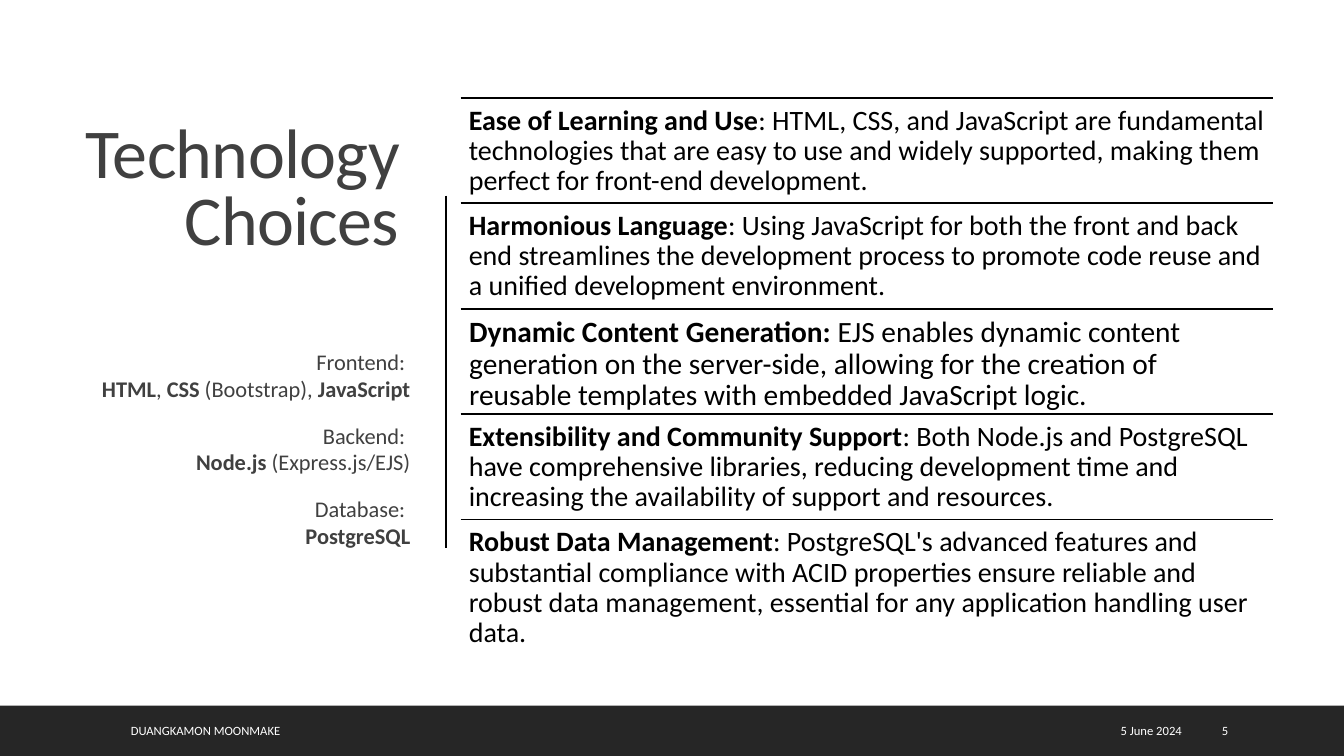
from dataclasses import dataclass

from lxml.etree import SubElement
from pptx import Presentation
from pptx.dml.color import RGBColor
from pptx.enum.shapes import MSO_CONNECTOR as Connector, MSO_SHAPE as Shape
from pptx.enum.text import MSO_ANCHOR as Anchor, MSO_AUTO_SIZE as AutoSize, PP_ALIGN as Align
from pptx.oxml.ns import qn
from pptx.util import Inches, Pt


@dataclass(frozen=True)
class Theme:
    font: str = "Calibri"
    black: RGBColor = RGBColor.from_string("000000")
    gray: RGBColor = RGBColor.from_string("404040")
    bar: RGBColor = RGBColor.from_string("262626")
    white: RGBColor = RGBColor.from_string("FFFFFF")
    title_size: float = 50
    stack_size: float = 16
    reason_size: float = 20
    large_reason_size: float = 21
    footer_size: float = 9


THEME = Theme()

STACK = [
    ("Frontend: ", "**HTML**, **CSS** (Bootstrap), **JavaScript**"),
    ("Backend: ", "**Node.js **(Express.js/EJS)"),
    ("Database: ", "**PostgreSQL**"),
]

REASONS = [
    ("**Ease of Learning and Use**: HTML, CSS, and JavaScript are fundamental technologies that are "
     "easy to use and widely supported, making them perfect for front-end development.",
     THEME.reason_size),
    ("**Harmonious Language**: Using JavaScript for both the front and back end streamlines the "
     "development process to promote code reuse and a unified development environment.",
     THEME.reason_size),
    ("**Dynamic Content Generation:** EJS enables dynamic content generation on the server-side, "
     "allowing for the creation of reusable templates with embedded JavaScript logic.",
     THEME.large_reason_size),
    ("**Extensibility and Community Support**: Both Node.js and PostgreSQL have comprehensive "
     "libraries, reducing development time and increasing the availability of support and resources.",
     THEME.reason_size),
    ("**Robust Data Management**: PostgreSQL's advanced features and substantial compliance with "
     "ACID properties ensure reliable and robust data management, essential for any application "
     "handling user data.", THEME.reason_size),
]


def place(shape, left, top, width, height):
    shape.left, shape.top = Inches(left), Inches(top)
    shape.width, shape.height = Inches(width), Inches(height)


def prepare_frame(shape, anchor, horizontal=0.1, vertical=0.05):
    """Set wrapping, anchor and insets, and return the text frame."""
    frame = shape.text_frame
    frame.word_wrap = True
    frame.auto_size = AutoSize.NONE
    frame.vertical_anchor = anchor
    frame.margin_left = frame.margin_right = Inches(horizontal)
    frame.margin_top = frame.margin_bottom = Inches(vertical)
    return frame


def format_run(run, size, color, bold=False):
    run.font.name = THEME.font
    run.font.size = Pt(size)
    run.font.color.rgb = color
    run.font.bold = bold


def add_marked_text(paragraph, text, size, color):
    """Add runs to the paragraph; text between double asterisks is bold."""
    for index, part in enumerate(text.split("**")):
        if part:
            run = paragraph.add_run()
            run.text = part
            format_run(run, size, color, bold=index % 2 == 1)


def add_line(slide, start, end, width):
    line = slide.shapes.add_connector(Connector.STRAIGHT, *map(Inches, start + end))
    line.line.color.rgb = THEME.black
    line.line.width = Pt(width)
    SubElement(line._element.spPr, qn("a:effectLst"))


def fill_title(title, left, top, width, height):
    place(title, left, top, width, height)
    frame = prepare_frame(title, Anchor.MIDDLE)
    frame.text = "Technology Choices"
    paragraph = frame.paragraphs[0]
    paragraph.alignment = Align.RIGHT
    paragraph.line_spacing = 0.8
    run = paragraph.runs[0]
    format_run(run, THEME.title_size, THEME.gray)
    run._r.get_or_add_rPr().set("spc", "-50")


def fill_stack(body, left, top, width, height):
    place(body, left, top, width, height)
    frame = prepare_frame(body, Anchor.MIDDLE, horizontal=0)
    for index, (layer, tools) in enumerate(STACK):
        paragraph = frame.add_paragraph() if index else frame.paragraphs[0]
        properties = paragraph._p.get_or_add_pPr()
        properties.set("marL", "0")
        properties.set("indent", "0")
        SubElement(properties, qn("a:buNone"))
        paragraph.alignment = Align.RIGHT
        paragraph.space_before = Pt(12 if index else 0)
        paragraph.space_after = Pt(2)
        add_marked_text(paragraph, layer, THEME.stack_size, THEME.gray)
        paragraph.add_line_break()
        add_marked_text(paragraph, tools, THEME.stack_size, THEME.gray)


def add_reasons(slide, left, top, width, height):
    """Stack the reasons in equal rows, each under a rule."""
    row_height = height / len(REASONS)
    for index, (text, size) in enumerate(REASONS):
        row_top = top + index * row_height
        add_line(slide, (left, row_top), (left + width, row_top), 1.25)
        box = slide.shapes.add_textbox(*map(Inches, (left, row_top, width, row_height)))
        inset = size / 250
        paragraph = prepare_frame(box, Anchor.TOP, inset, inset).paragraphs[0]
        paragraph.line_spacing = 0.9
        add_marked_text(paragraph, text, size, THEME.black)


def add_footer(slide, left, top, width, height):
    bar = slide.shapes.add_shape(Shape.RECTANGLE, *map(Inches, (left, top, width, height)))
    bar.shadow.inherit = False
    bar.fill.solid()
    bar.fill.fore_color.rgb = THEME.bar
    bar.line.fill.background()
    for text, offset, text_width, alignment in [
        ("DUANGKAMON MOONMAKE", 1.2, 7.46, Align.LEFT),
        ("5 June 2024", 8.99, 2.83, Align.RIGHT),
        ("5", 12.02, 0.85, Align.LEFT),
    ]:
        box = slide.shapes.add_textbox(
            *map(Inches, (left + offset, top + 0.05, text_width, height - 0.1)))
        frame = prepare_frame(box, Anchor.MIDDLE)
        frame.text = text
        paragraph = frame.paragraphs[0]
        paragraph.alignment = alignment
        format_run(paragraph.runs[0], THEME.footer_size, THEME.white)


def main():
    presentation = Presentation()
    presentation.slide_width = Inches(13.33)
    presentation.slide_height = Inches(7.5)
    slide = presentation.slides.add_slide(presentation.slide_layouts[1])
    fill_title(slide.shapes.title, 0.7, 0.7, 3.36, 2.4)
    fill_stack(slide.placeholders[1], 0.86, 2.91, 3.21, 3.08)
    add_line(slide, (4.42, 1.94), (4.42, 5.44), 1.5)
    add_reasons(slide, 4.57, 0.97, 8.06, 5.23)
    add_footer(slide, 0, 7, 13.33, 0.5)
    presentation.save("out.pptx")


if __name__ == "__main__":
    main()
